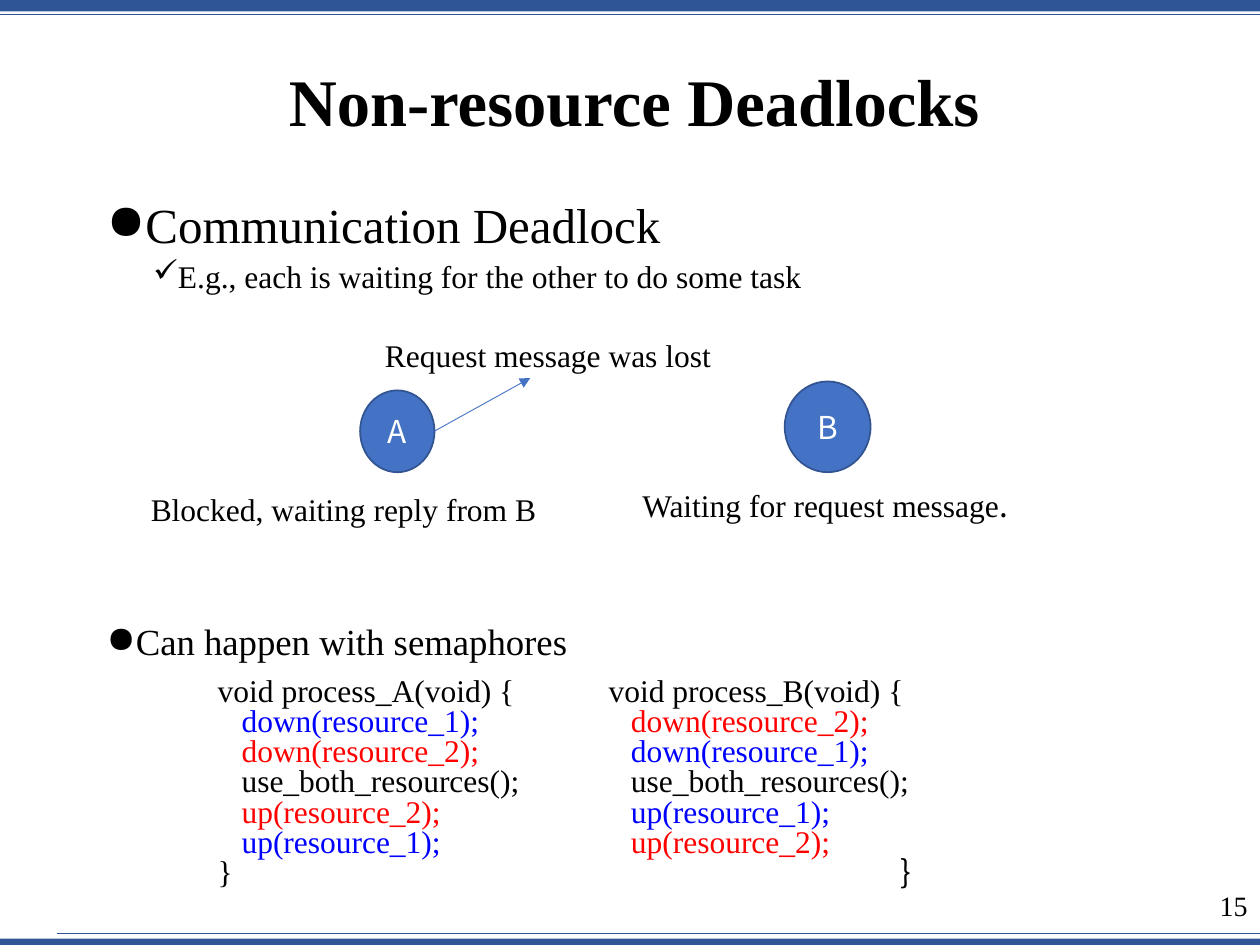
from collections import namedtuple
from dataclasses import dataclass

from lxml import etree
from pptx import Presentation
from pptx import util as u
from pptx.dml import color
from pptx.enum import shapes, text
from pptx.oxml import ns

Box = namedtuple("Box", "left top width height")


@dataclass(frozen=True)
class Theme:
    """Colours, fonts and type sizes of the slide."""
    bar: str = "2F5597"
    node: str = "4472C4"
    node_edge: str = "325491"
    ink: str = "000000"
    light: str = "FFFFFF"
    blue: str = "0000FF"
    red: str = "FF0000"
    serif: str = "Times New Roman"
    sans: str = "Noto Sans CJK SC"
    title: int = 38
    heading: int = 28
    subheading: int = 21
    normal: int = 18
    number: int = 16


THEME = Theme()


def rgb(value):
    """Turn a hex string into a colour."""
    return color.RGBColor.from_string(value)


def inside(box, left, top, width, height):
    """Return a box given by its offset from another box."""
    return Box(box.left + left, box.top + top, width, height)


def lengths(box):
    """Convert a box in centimetres to slide lengths."""
    return [u.Cm(value) for value in box]


def add_paragraph(frame, runs, size=THEME.normal, bold=False, align=text.PP_ALIGN.LEFT,
                  spacing=1.0, before=0, bullet=None, margin=0.0, tabs=()):
    """Write one paragraph of (text, colour, font) runs."""
    paragraph = frame.paragraphs[0]
    if paragraph.runs:
        paragraph = frame.add_paragraph()
    paragraph.alignment = align
    paragraph.line_spacing = spacing
    paragraph.space_before = u.Pt(before)
    properties = paragraph._p.get_or_add_pPr()
    if bullet:
        properties.set("marL", str(u.Cm(margin)))
        properties.set("indent", str(u.Cm(-0.48)))
        etree.SubElement(properties, ns.qn("a:buChar")).set("char", bullet)
    if tabs:
        stops = etree.SubElement(properties, ns.qn("a:tabLst"))
        for position in tabs:
            etree.SubElement(stops, ns.qn("a:tab"), pos=str(u.Cm(position)), algn="l")
    for words, ink, font in runs:
        run = paragraph.add_run()
        run.text = words
        run.font.size = u.Pt(size)
        run.font.bold = bold
        run.font.name = font
        run.font.color.rgb = rgb(ink)


def plain(words, ink=THEME.ink, font=THEME.serif):
    """Return one run."""
    return words, ink, font


def add_frame(slide, box, anchor=text.MSO_ANCHOR.TOP):
    """Add an empty wrapping text box and return its frame."""
    frame = slide.shapes.add_textbox(*lengths(box)).text_frame
    frame.word_wrap = True
    frame.vertical_anchor = anchor
    return frame


def add_filled(slide, kind, box, fill, edge=None):
    """Add a preset shape with a solid fill."""
    shape = slide.shapes.add_shape(kind, *lengths(box))
    shape.shadow.inherit = False
    shape.fill.solid()
    shape.fill.fore_color.rgb = rgb(fill)
    if edge:
        shape.line.color.rgb = rgb(edge)
        shape.line.width = u.Pt(1)
    else:
        shape.line.fill.background()
    return shape


def add_line(slide, start, end, ink, arrow=False):
    """Add a thin straight line, with an arrowhead at its end if asked."""
    line = slide.shapes.add_connector(
        shapes.MSO_CONNECTOR.STRAIGHT, *[u.Cm(value) for value in start + end])
    line.line.color.rgb = rgb(ink)
    line.line.width = u.Pt(0.5)
    if arrow:
        etree.SubElement(line.line._get_or_add_ln(), ns.qn("a:tailEnd"), type="triangle")
    etree.SubElement(line._element.spPr, ns.qn("a:effectLst"))


def add_border(slide, box):
    """Draw the bars, rules and page number around the slide."""
    right = box.left + box.width
    for top, height in ((0, 0.23), (18.92, 0.13)):
        add_filled(slide, shapes.MSO_SHAPE.RECTANGLE,
                   inside(box, 0, top, box.width, height), THEME.bar)
    for left, top in ((0, 0.3), (1.14, 18.82)):
        add_line(slide, (box.left + left, box.top + top), (right, box.top + top), THEME.bar)
    frame = add_frame(slide, inside(box, 24.2, 17.78, 1.2, 1.27))
    add_paragraph(frame, [plain("15")], size=THEME.number, align=text.PP_ALIGN.RIGHT)


def add_title(slide, box):
    """Write the slide title."""
    frame = add_frame(slide, box, text.MSO_ANCHOR.MIDDLE)
    add_paragraph(frame, [plain("Non-resource Deadlocks")], size=THEME.title, bold=True,
                  align=text.PP_ALIGN.CENTER, spacing=0.9)


def add_body(slide, box):
    """Write the bulleted points."""
    frame = add_frame(slide, box)
    points = (
        ("Communication Deadlock", THEME.heading, 7.5, "●", 0.48),
        ("E.g., each is waiting for the other to do some task", THEME.normal, 3.8, "✓", 1.42),
        ("Can happen with semaphores", THEME.subheading, 188, "●", 0.48),
    )
    for words, size, before, bullet, margin in points:
        add_paragraph(frame, [plain(words)], size=size, spacing=0.9, before=before,
                      bullet=bullet, margin=margin)


def add_message_diagram(slide, box):
    """Draw two processes, the lost request and their captions."""
    nodes = (("A", (4.47, 1.22, 1.5, 1.65)), ("B", (13.03, 1.04, 1.73, 1.83)))
    for name, place in nodes:
        node = add_filled(slide, shapes.MSO_SHAPE.OVAL, inside(box, *place),
                          THEME.node, THEME.node_edge)
        node.text_frame.word_wrap = False
        node.text_frame.vertical_anchor = text.MSO_ANCHOR.MIDDLE
        add_paragraph(node.text_frame, [plain(name, THEME.light, THEME.sans)],
                      align=text.PP_ALIGN.CENTER)
    add_line(slide, (box.left + 5.97, box.top + 2.04), (box.left + 7.9, box.top + 0.97),
             THEME.node, arrow=True)
    captions = (
        ((4.72, 0, 10.29, 1.02), [plain("Request message was lost")]),
        ((0, 3.1, 9.42, 1.02), [plain("Blocked, waiting reply from B")]),
        ((9.91, 3.02, 11.25, 1.02),
         [plain("Waiting for request message"), plain(".", font=THEME.sans)]),
    )
    for place, runs in captions:
        add_paragraph(add_frame(slide, inside(box, *place)), runs)


def add_code(slide, box):
    """Write the two processes side by side."""
    frame = add_frame(slide, box)
    inks = {"1": THEME.blue, "2": THEME.red}
    steps = (
        ("down(resource_1);", "down(resource_2);"),
        ("down(resource_2);", "down(resource_1);"),
        ("use_both_resources();", "use_both_resources();"),
        ("up(resource_2);", "up(resource_1);"),
        ("up(resource_1);", "up(resource_2);"),
    )
    add_paragraph(frame, [plain("void process_A(void) {\tvoid process_B(void) {")],
                  spacing=0.8, tabs=(7.88,))
    for step in steps:
        runs = [plain("\t" + call, inks.get(call[-3], THEME.ink)) for call in step]
        add_paragraph(frame, runs, spacing=0.8, tabs=(0.48, 8.33))
    add_paragraph(frame, [plain("}"), plain("\t}", font=THEME.sans)],
                  spacing=0.8, tabs=(13.77,))


def main():
    """Build and save the slide."""
    presentation = Presentation()
    presentation.slide_width = u.Cm(25.4)
    presentation.slide_height = u.Cm(19.05)
    slide = presentation.slides.add_slide(presentation.slide_layouts[6])
    add_border(slide, Box(0, 0, 25.4, 19.05))
    add_title(slide, Box(1.83, 0.28, 21.92, 3.68))
    add_body(slide, Box(1.9, 3.94, 21.59, 14))
    add_message_diagram(slide, Box(2.79, 6.65, 21.16, 4.12))
    add_code(slide, Box(4.14, 13.54, 16.69, 4.57))
    presentation.save("out.pptx")


if __name__ == "__main__":
    main()
